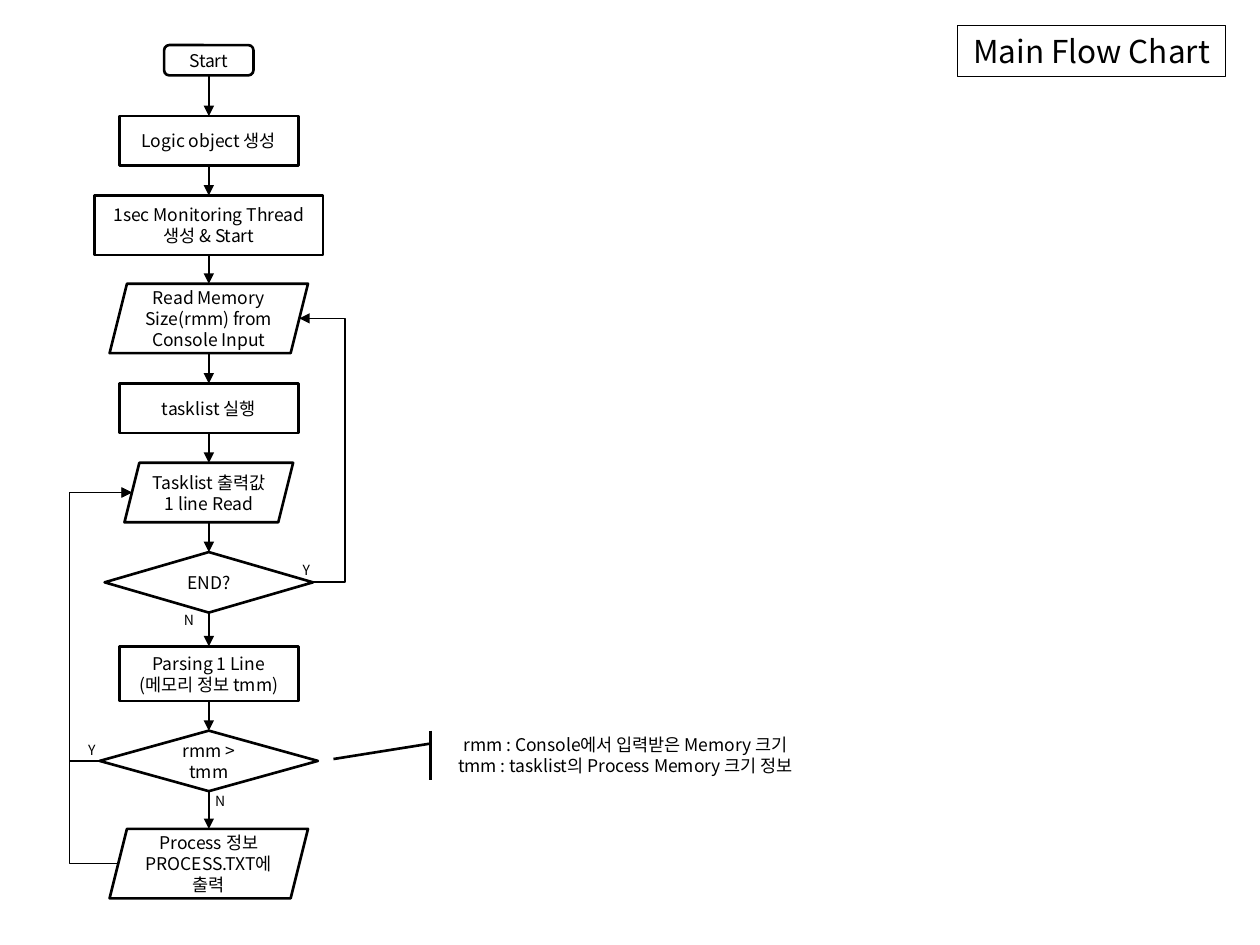
from lxml import etree
from pptx import Presentation
from pptx.dml.color import RGBColor
from pptx.enum.shapes import MSO_CONNECTOR, MSO_SHAPE
from pptx.enum.text import MSO_ANCHOR, MSO_AUTO_SIZE, PP_ALIGN
from pptx.oxml.ns import qn
from pptx.util import Cm, Pt

STRAIGHT, ELBOW = MSO_CONNECTOR.STRAIGHT, MSO_CONNECTOR.ELBOW
ROUNDED, BOX = MSO_SHAPE.ROUNDED_RECTANGLE, MSO_SHAPE.RECTANGLE
DATA, DECISION = MSO_SHAPE.PARALLELOGRAM, MSO_SHAPE.FLOWCHART_DECISION
CALLOUT = MSO_SHAPE.LINE_CALLOUT_1_ACCENT_BAR
CENTER, LEFT = PP_ALIGN.CENTER, PP_ALIGN.LEFT
MIDDLE, TOP = MSO_ANCHOR.MIDDLE, MSO_ANCHOR.TOP
FONT = "Noto Sans CJK KR"
BLACK = "000000"

# Content, lengths in centimetres
TITLE = "Main Flow Chart"
FLOW_X = 4.21
STEPS = [  # name, text, outline, top, width, height
    ("start", "Start", ROUNDED, 0.91, 1.8, 0.61),
    ("logic", "Logic object 생성", BOX, 2.34, 3.61, 1),
    ("monitor", "1sec Monitoring Thread 생성 & Start", BOX, 3.94, 4.6, 1.2),
    ("read size", "Read Memory Size(rmm) from Console Input", DATA, 5.72, 4, 1.4),
    ("run", "tasklist 실행", BOX, 7.73, 3.61, 1),
    ("read line", "Tasklist 출력값 1 line Read", DATA, 9.33, 3.4, 1.2),
    ("end", "END?", DECISION, 11.13, 4.2, 1.22),
    ("parse", "Parsing 1 Line\n(메모리 정보 tmm)", BOX, 13.03, 3.61, 1.1),
    ("compare", "rmm > tmm", DECISION, 14.73, 4.4, 1.22),
    ("output", "Process 정보 PROCESS.TXT에 출력", DATA, 16.71, 4, 1.4),
]
LOOPS = [  # from, to, side, x of the vertical run
    ("end", "read size", 1, 6.96),
    ("output", "read line", -1, 1.4),
    ("compare", "read line", -1, 1.4),
]
LABELS = [("N", 3.71, 12.32), ("N", 4.34, 15.98), ("Y", 6.1, 11.33), ("Y", 1.78, 14.94)]
NOTE = "rmm : Console에서 입력받은 Memory 크기\ntmm : tasklist의 Process Memory 크기 정보"
NOTE_POINTER = (0.261, 0.02, 0.573, -0.218)


def color(value):
    return RGBColor.from_string(value)


def set_text(shape, text, size, align=CENTER, anchor=MIDDLE, inset=None, wrap=True):
    frame = shape.text_frame
    frame.text = text
    frame.word_wrap = wrap
    frame.auto_size = MSO_AUTO_SIZE.NONE
    frame.vertical_anchor = anchor
    if inset is not None:
        frame.margin_left = frame.margin_right = Cm(inset)
        frame.margin_top = frame.margin_bottom = Cm(inset)
    for paragraph in frame.paragraphs:
        paragraph.alignment = align
        for run in paragraph.runs:
            run.font.name = FONT
            run.font.size = Pt(size)
            run.font.color.rgb = color(BLACK)
            east_asian = etree.SubElement(run.font._element, qn("a:ea"))
            east_asian.set("typeface", FONT)


def set_outline(shape, width):
    shape.line.color.rgb = color(BLACK)
    shape.line.width = Pt(width)


def add_box(outline, left, top, width, height, text, inset=None):
    shape = slide.shapes.add_shape(outline, Cm(left), Cm(top), Cm(width), Cm(height))
    shape.shadow.inherit = False
    shape.fill.background()
    set_outline(shape, 1.5)
    set_text(shape, text, 10, inset=inset)
    return shape


def add_arrow(kind, start, end, bend_x=None):
    arrow = slide.shapes.add_connector(kind, *(Cm(value) for value in start + end))
    set_outline(arrow, 1)
    properties = arrow._element.spPr
    line = properties.find(qn("a:ln"))
    etree.SubElement(line, qn("a:tailEnd")).set("type", "triangle")
    etree.SubElement(properties, qn("a:effectLst"))
    if bend_x is not None:
        share = (bend_x - start[0]) / (end[0] - start[0])
        values = properties.find(qn("a:prstGeom")).get_or_add_avLst()
        guide = etree.SubElement(values, qn("a:gd"))
        guide.set("name", "adj1")
        guide.set("fmla", f"val {round(share * 100000)}")


def side_point(name, side):
    _, _, outline, top, width, height = steps[name]
    slant = height / 8 if outline == DATA else 0
    return FLOW_X + side * (width / 2 - slant), top + height / 2


presentation = Presentation()
presentation.slide_width, presentation.slide_height = Cm(25.4), Cm(19.05)
slide = presentation.slides.add_slide(presentation.slide_layouts[5])
steps = {step[0]: step for step in STEPS}

# Title
title = slide.shapes.title
title.left, title.top, title.width, title.height = Cm(19.3), Cm(0.52), Cm(5.41), Cm(1.02)
set_outline(title, 0.75)
set_text(title, TITLE, 18, wrap=False)

# Steps
for name, text, outline, top, width, height in STEPS:
    inset = 0.1 if outline == DATA else None
    add_box(outline, FLOW_X - width / 2, top, width, height, text, inset)

# Arrows down the flow
for (_, _, _, top, _, height), following in zip(STEPS, STEPS[1:]):
    add_arrow(STRAIGHT, (FLOW_X, top + height), (FLOW_X, following[3]))

# Arrows back up the flow
for source, target, side, bend_x in LOOPS:
    add_arrow(ELBOW, side_point(source, side), side_point(target, side), bend_x)

# Branch labels
for text, left, top in LABELS:
    label = slide.shapes.add_textbox(Cm(left), Cm(top), Cm(0.41), Cm(0.33))
    set_text(label, text, 8, LEFT, TOP, 0)

# Note on the variables
note = add_box(CALLOUT, 8.51, 14.73, 8.2, 1, NOTE)
for index, value in enumerate(NOTE_POINTER):
    note.adjustments[index] = value

presentation.save("out.pptx")
